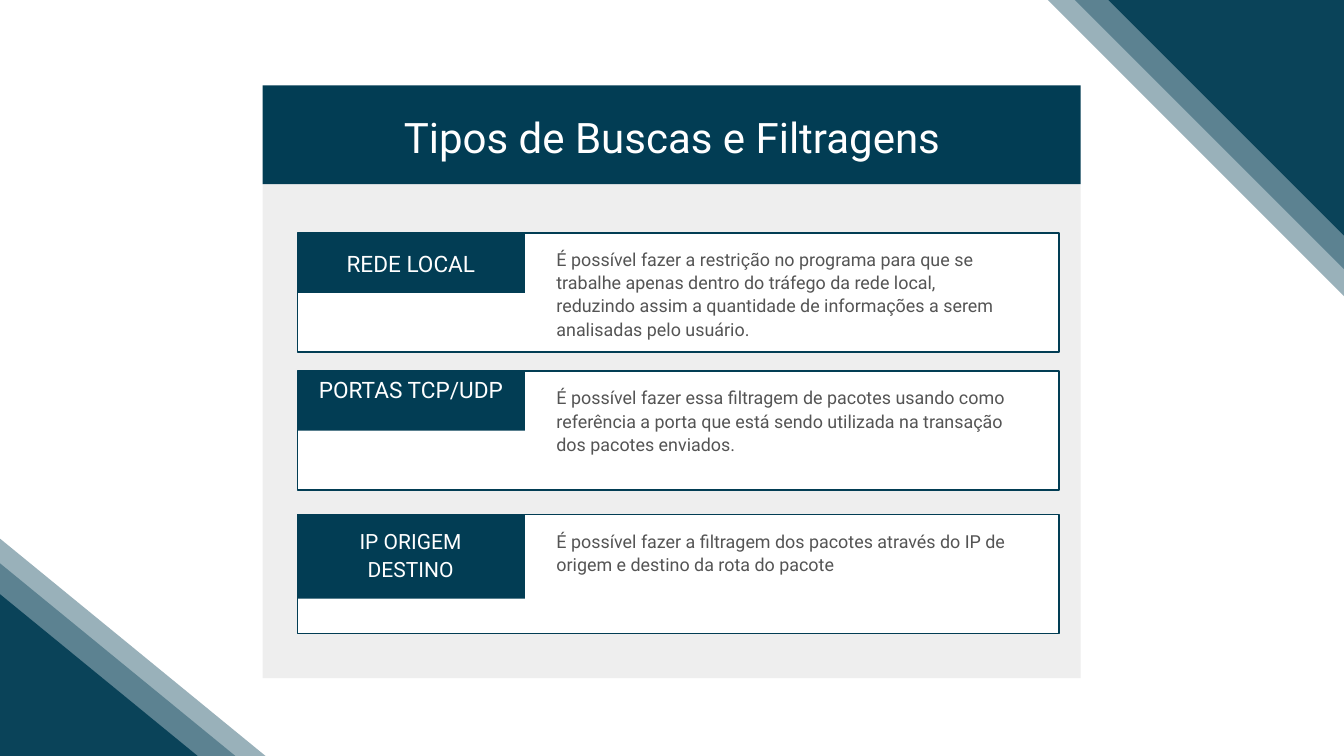
from dataclasses import dataclass

from lxml.etree import SubElement
from pptx import Presentation
from pptx.dml.color import RGBColor
from pptx.enum.shapes import MSO_SHAPE as Preset
from pptx.enum.text import MSO_ANCHOR as Anchor, MSO_AUTO_SIZE as AutoSize, PP_ALIGN as Align
from pptx.oxml.ns import qn
from pptx.shapes.autoshape import Shape
from pptx.slide import Slide
from pptx.util import Inches, Pt


@dataclass(frozen=True)
class Theme:
    font: str = "Roboto"
    navy: RGBColor = RGBColor(0x02, 0x3D, 0x54)
    panel: RGBColor = RGBColor(0xEE, 0xEE, 0xEE)
    white: RGBColor = RGBColor(0xFF, 0xFF, 0xFF)
    body: RGBColor = RGBColor(0x54, 0x54, 0x54)
    title_size: float = 45
    body_size: float = 19.2
    label_size: float = 24.2
    small_label_size: float = 22.5
    leading: float = 1.3
    border: float = 1.5


@dataclass(frozen=True)
class Box:
    left: float
    top: float
    width: float
    height: float


@dataclass(frozen=True)
class Card:
    top: float
    label_height: float
    label: tuple[str, ...]
    label_box: Box
    label_size: float
    text: str
    text_box: Box


@dataclass(frozen=True)
class Band:
    box: Box
    rotation: float
    opacity: int


THEME = Theme()
PANEL_LEFT, PANEL_WIDTH = 3.91, 12.17
CARD_LEFT, CARD_WIDTH, CARD_HEIGHT = 4.43, 11.33, 1.77
LABEL_WIDTH = 3.38
TEXT_LEFT, TEXT_WIDTH = 8.28, 6.71
BAND_WIDTH, BAND_HEIGHT = 6.4, 9.48

CARDS = (
    Card(3.47, 0.89, ("REDE LOCAL",), Box(4.71, 3.69, 2.81, 0.42), THEME.label_size,
         "É possível fazer a restrição no programa para que se trabalhe apenas dentro do "
         "tráfego da rede local, reduzindo assim a quantidade de informações a serem "
         "analisadas pelo usuário.",
         Box(TEXT_LEFT, 3.67, TEXT_WIDTH, 1.35)),
    Card(5.52, 0.89, ("PORTAS TCP/UDP",), Box(4.71, 5.56, 2.81, 0.85), THEME.label_size,
         "É possível fazer essa filtragem de pacotes usando como referência a porta que "
         "está sendo utilizada na transação dos pacotes enviados.",
         Box(TEXT_LEFT, 5.73, TEXT_WIDTH, 1.01)),
    Card(7.66, 1.25, ("IP ORIGEM", "DESTINO"), Box(4.8, 7.84, 2.62, 0.81),
         THEME.small_label_size,
         "É possível fazer a filtragem dos pacotes através do IP de origem e destino da "
         "rota do pacote",
         Box(TEXT_LEFT, 7.87, TEXT_WIDTH, 0.67)),
)

# Each step moves a band further into its corner: (shift, opacity)
BAND_STEPS = ((0, 40), (0.4, 40), (0.9, 90))


def lengths(box: Box) -> tuple[Inches, Inches, Inches, Inches]:
    return Inches(box.left), Inches(box.top), Inches(box.width), Inches(box.height)


def add_rectangle(slide: Slide, box: Box, fill: RGBColor, border: RGBColor | None = None) -> Shape:
    shape = slide.shapes.add_shape(Preset.RECTANGLE, *lengths(box))
    shape.shadow.inherit = False
    shape.fill.solid()
    shape.fill.fore_color.rgb = fill
    if border is None:
        shape.line.fill.background()
    else:
        shape.line.color.rgb = border
        shape.line.width = Pt(THEME.border)
    return shape


def write_text(shape: Shape, lines: tuple[str, ...], size: float, color: RGBColor,
               align: Align) -> None:
    frame = shape.text_frame
    frame.word_wrap = True
    frame.auto_size = AutoSize.NONE
    frame.vertical_anchor = Anchor.TOP
    frame.margin_left = frame.margin_top = frame.margin_right = frame.margin_bottom = 0
    for index, line in enumerate(lines):
        paragraph = frame.add_paragraph() if index else frame.paragraphs[0]
        paragraph.alignment = align
        paragraph.line_spacing = Pt(size * THEME.leading)
        paragraph.space_before = paragraph.space_after = Pt(0)
        run = paragraph.add_run()
        run.text = line
        run.font.name = THEME.font
        run.font.size = Pt(size)
        run.font.color.rgb = color


def add_text(slide: Slide, box: Box, lines: tuple[str, ...], size: float, color: RGBColor,
             align: Align) -> None:
    write_text(slide.shapes.add_textbox(*lengths(box)), lines, size, color, align)


def add_title(slide: Slide, text: str) -> None:
    title = slide.shapes.title
    title.left, title.top, title.width, title.height = lengths(Box(2.25, 1.59, 15.5, 0.79))
    write_text(title, (text,), THEME.title_size, THEME.white, Align.CENTER)
    # Bring the title in front of its header bar
    slide.shapes.element.append(title.element)


def add_band(slide: Slide, band: Band) -> None:
    shape = add_rectangle(slide, band.box, THEME.navy)
    shape.rotation = band.rotation
    color = shape.fill._xPr.find(qn("a:solidFill"))[0]
    SubElement(color, qn("a:alpha"), val=str(band.opacity * 1000))


def main() -> None:
    presentation = Presentation()
    presentation.slide_width = Inches(20)
    presentation.slide_height = Inches(11.25)
    slide = presentation.slides.add_slide(presentation.slide_layouts[5])

    # Panel and cards
    add_rectangle(slide, Box(PANEL_LEFT, 2.74, PANEL_WIDTH, 7.35), THEME.panel)
    for card in CARDS:
        add_rectangle(slide, Box(CARD_LEFT, card.top, CARD_WIDTH, CARD_HEIGHT),
                      THEME.white, THEME.navy)
        add_rectangle(slide, Box(CARD_LEFT, card.top, LABEL_WIDTH, card.label_height), THEME.navy)
        add_text(slide, card.label_box, card.label, card.label_size, THEME.white, Align.CENTER)
        add_text(slide, card.text_box, (card.text,), THEME.body_size, THEME.body, Align.LEFT)

    # Header
    add_rectangle(slide, Box(PANEL_LEFT, 1.27, PANEL_WIDTH, 1.47), THEME.navy)
    add_title(slide, "Tipos de Buscas e Filtragens")

    # Corner bands, top right and bottom left
    for shift, opacity in BAND_STEPS:
        upper = Box(16.33, -5.33 - shift, BAND_WIDTH, BAND_HEIGHT)
        lower = Box(-3.25 + shift / 10, 7.37 + shift, BAND_WIDTH, BAND_HEIGHT)
        add_band(slide, Band(upper, 315, opacity))
        add_band(slide, Band(lower, 129.3, opacity))

    presentation.save("out.pptx")


if __name__ == "__main__":
    main()
